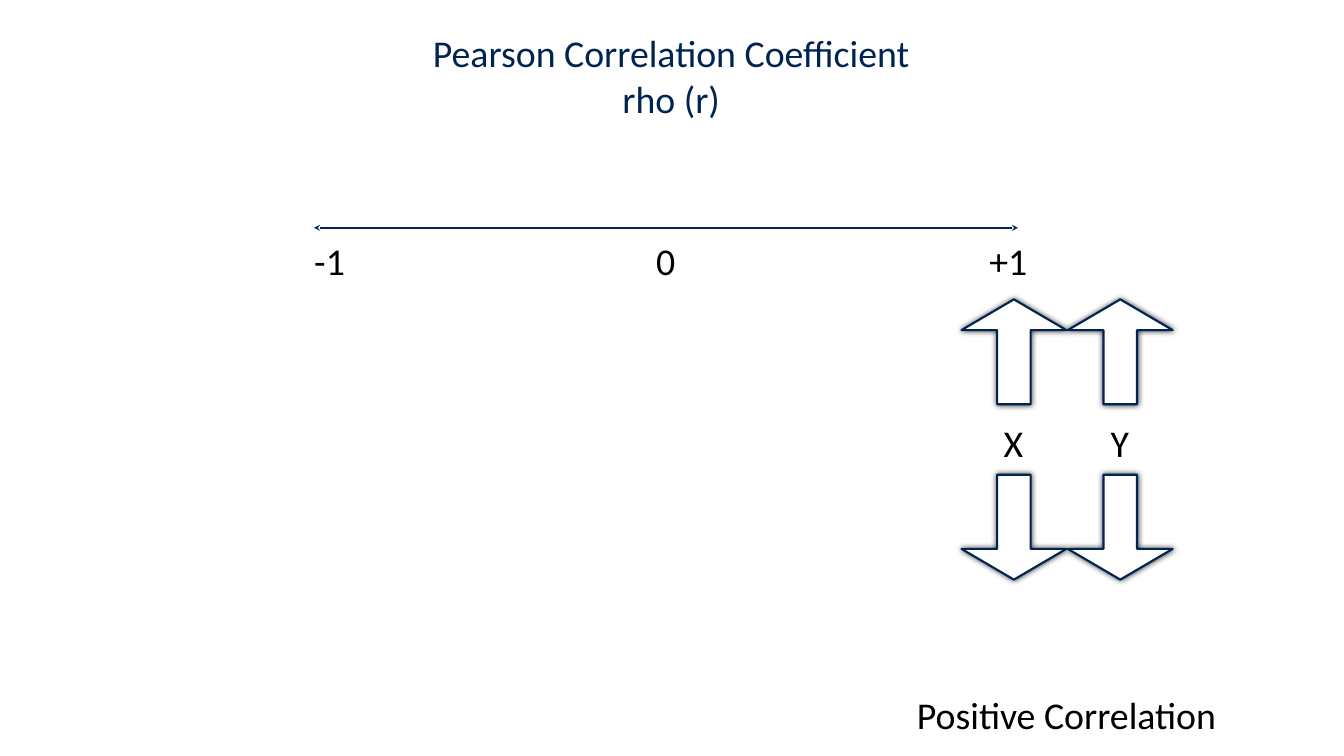
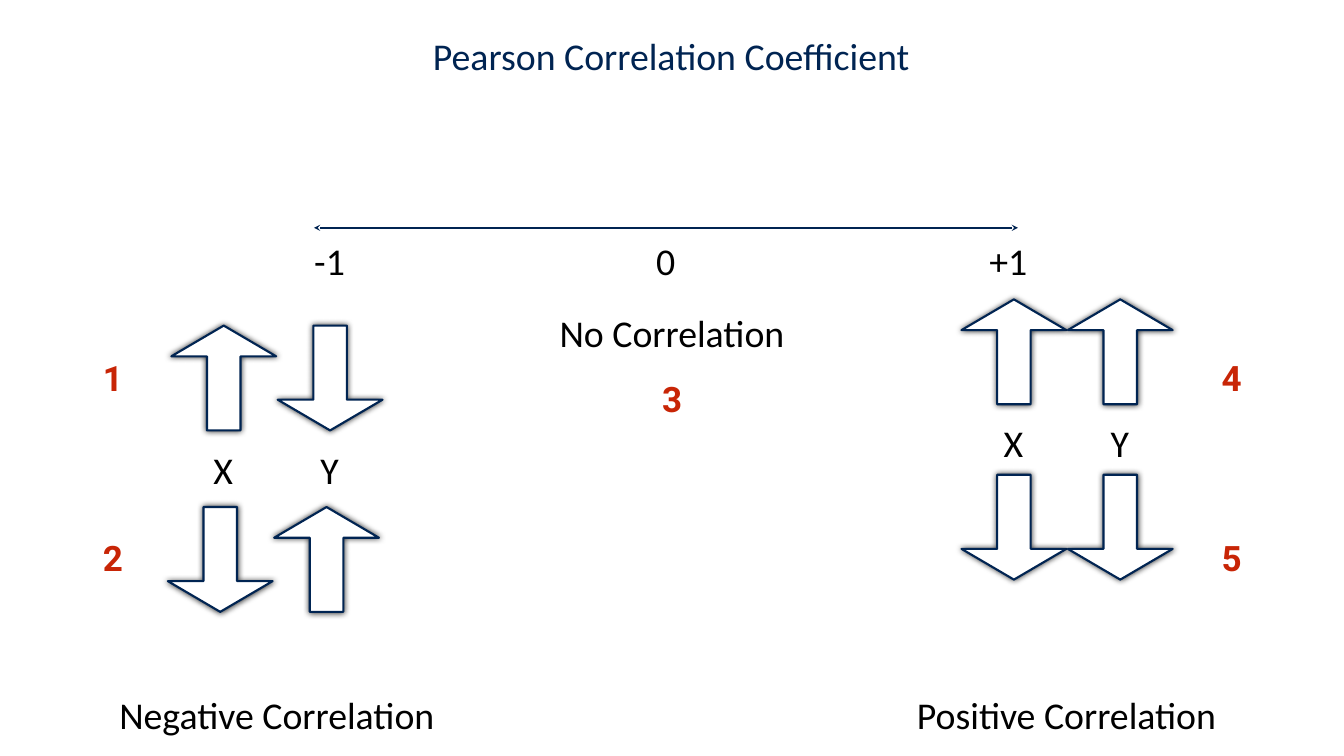
"""Build two slides explaining the Pearson correlation coefficient."""
from lxml import etree
from pptx import Presentation
from pptx import util as u
from pptx.dml.color import RGBColor
from pptx.enum import shapes, text
from pptx.oxml.ns import qn

NAVY = RGBColor(0x00, 0x24, 0x52)
BLACK = RGBColor(0x00, 0x00, 0x00)
WHITE = RGBColor(0xFF, 0xFF, 0xFF)
RED = RGBColor(0xC8, 0x25, 0x06)

ARROW_SIZE = 2.08
ARROW_STEP = 2.11
TITLE = "Pearson Correlation Coefficient"
SCALE = [("+1", 19.51, 1), ("-1", 6.14, 0.8), ("0", 12.93, 0.56)]
VARIABLES = [("X", 0.7, 0.66), ("Y", 2.85, 0.58)]
NUMBERS = [("1", 1.98, 7.02), ("2", 1.98, 10.59), ("3", 13.08, 7.43),
           ("4", 24.18, 7.02), ("5", 24.18, 10.59)]

# Each row of arrows: left, top, and whether X and Y point down.
NEGATIVE = [(3.4, 6.46, (False, True)), (3.33, 10.06, (True, False))]
POSITIVE = [(19.08, 5.94, (False, False)), (19.08, 9.42, (True, True))]


def add_label(parent, words, left, top, width, height, color=BLACK,
              size=54, font="Calibri", bold=None):
    box = parent.add_textbox(u.Inches(left), u.Inches(top), u.Inches(width), u.Inches(height))
    frame = box.text_frame
    frame.text = words
    frame.word_wrap = False
    frame.auto_size = text.MSO_AUTO_SIZE.SHAPE_TO_FIT_TEXT
    frame.vertical_anchor = text.MSO_ANCHOR.MIDDLE
    frame.margin_left = frame.margin_right = u.Inches(0.06)
    frame.margin_top = frame.margin_bottom = u.Inches(0.06)
    for para in frame.paragraphs:
        para.alignment = text.PP_ALIGN.CENTER
        for span in para.runs:
            span.font.name = font
            span.font.size = u.Pt(size)
            span.font.bold = bold
            span.font.color.rgb = color
    return box


def add_arrow_group(page, rows):
    group = page.shapes.add_group_shape()
    for left, top, directions in rows:
        for column, points_down in enumerate(directions):
            arrow = group.shapes.add_shape(
                shapes.MSO_SHAPE.RIGHT_ARROW, u.Inches(left + column * ARROW_STEP),
                u.Inches(top), u.Inches(ARROW_SIZE), u.Inches(ARROW_SIZE))
            arrow.adjustments[0] = 0.32
            arrow.adjustments[1] = 0.293
            arrow.rotation = 270
            arrow.fill.solid()
            arrow.fill.fore_color.rgb = WHITE
            arrow.line.color.rgb = NAVY
            arrow.line.width = u.Pt(3)
            arrow.shadow.inherit = False
            properties = arrow.element.spPr
            if points_down:
                properties.find(qn("a:xfrm")).set("flipH", "1")
            shadow = etree.SubElement(
                properties.find(qn("a:effectLst")), qn("a:outerShdw"),
                blurRad=str(u.Pt(9)), dist="0", dir="18900000", rotWithShape="0")
            shade = etree.SubElement(shadow, qn("a:srgbClr"), val=str(BLACK))
            etree.SubElement(shade, qn("a:alpha"), val="80000")
    left, top = rows[0][:2]
    for name, offset, width in VARIABLES:
        add_label(group.shapes, name, left + offset, top + 2.36, width, 0.97)


deck = Presentation()
deck.slide_width = u.Inches(26.67)
deck.slide_height = u.Inches(15)

for title, title_height, complete in [(TITLE + "\nrho (r)", 1.83, False), (TITLE, 1.03, True)]:
    page = deck.slides.add_slide(deck.slide_layouts[6])
    add_label(page.shapes, title, 8.16, 0.58, 10.32, title_height, NAVY)

    axis = page.shapes.add_connector(
        shapes.MSO_CONNECTOR.STRAIGHT, u.Inches(6.23), u.Inches(4.52),
        u.Inches(20.2), u.Inches(4.52))
    axis.line.color.rgb = NAVY
    axis.line.width = u.Pt(3)
    outline = axis.element.spPr.find(qn("a:ln"))
    for end in ("a:headEnd", "a:tailEnd"):
        etree.SubElement(outline, qn(end), type="stealth")
    etree.SubElement(axis.element.spPr, qn("a:effectLst"))

    for value, left, width in SCALE:
        add_label(page.shapes, value, left, 4.66, width, 1.03)

    if complete:
        add_label(page.shapes, "No Correlation", 10.86, 6.08, 4.95, 1.02)
        add_arrow_group(page, NEGATIVE)
    add_arrow_group(page, POSITIVE)

    if complete:
        for number, left, top in NUMBERS:
            add_label(page.shapes, number, left, top, 0.51, 0.94, RED, 50, "Roboto", True)
        add_label(page.shapes, "Negative Correlation", 2.17, 13.67, 6.65, 1.02)
    caption = add_label(page.shapes, "Positive Correlation", 17.55, 13.67, 7.23, 1.02)
    caption.text_frame.auto_size = text.MSO_AUTO_SIZE.NONE

deck.save("out.pptx")
